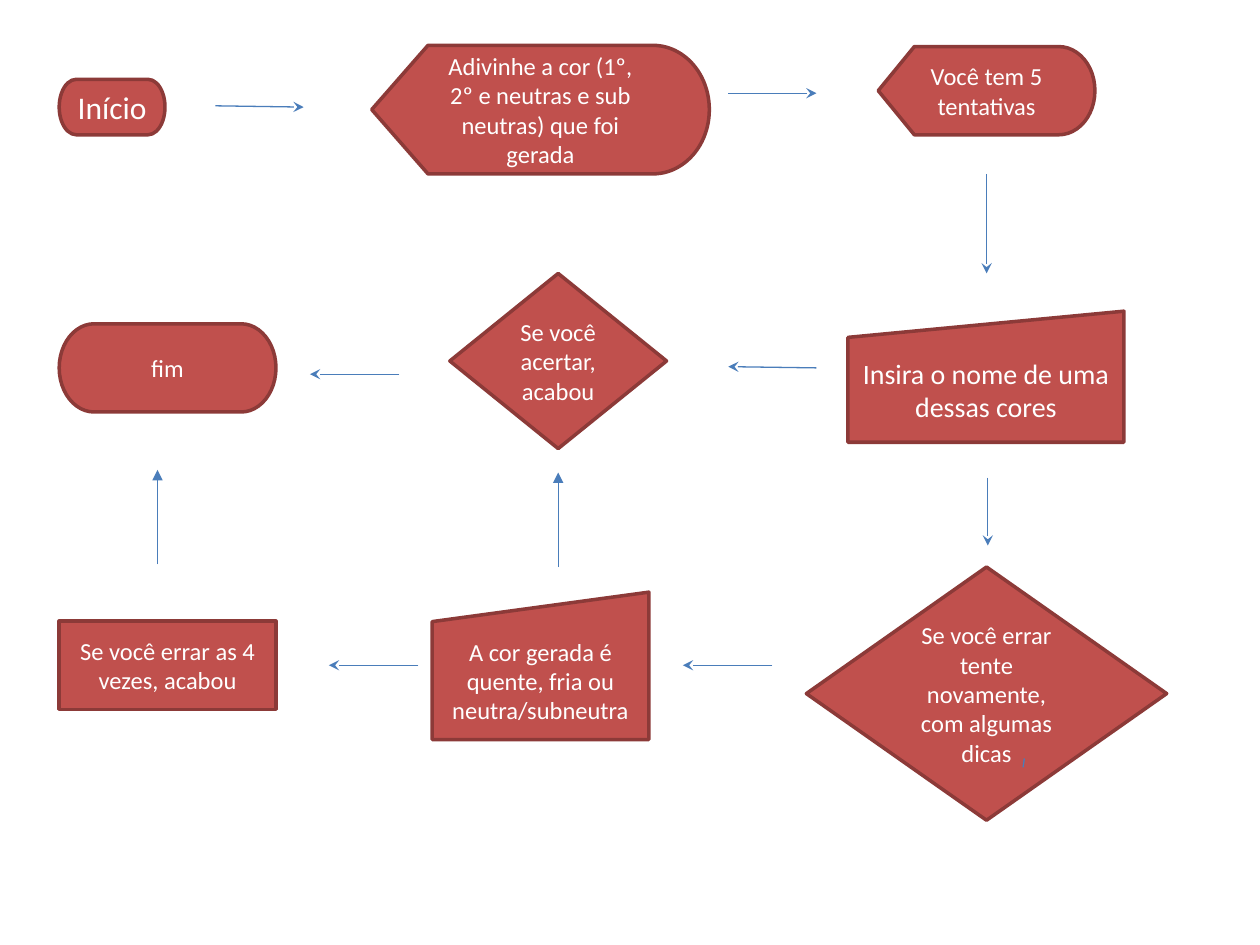
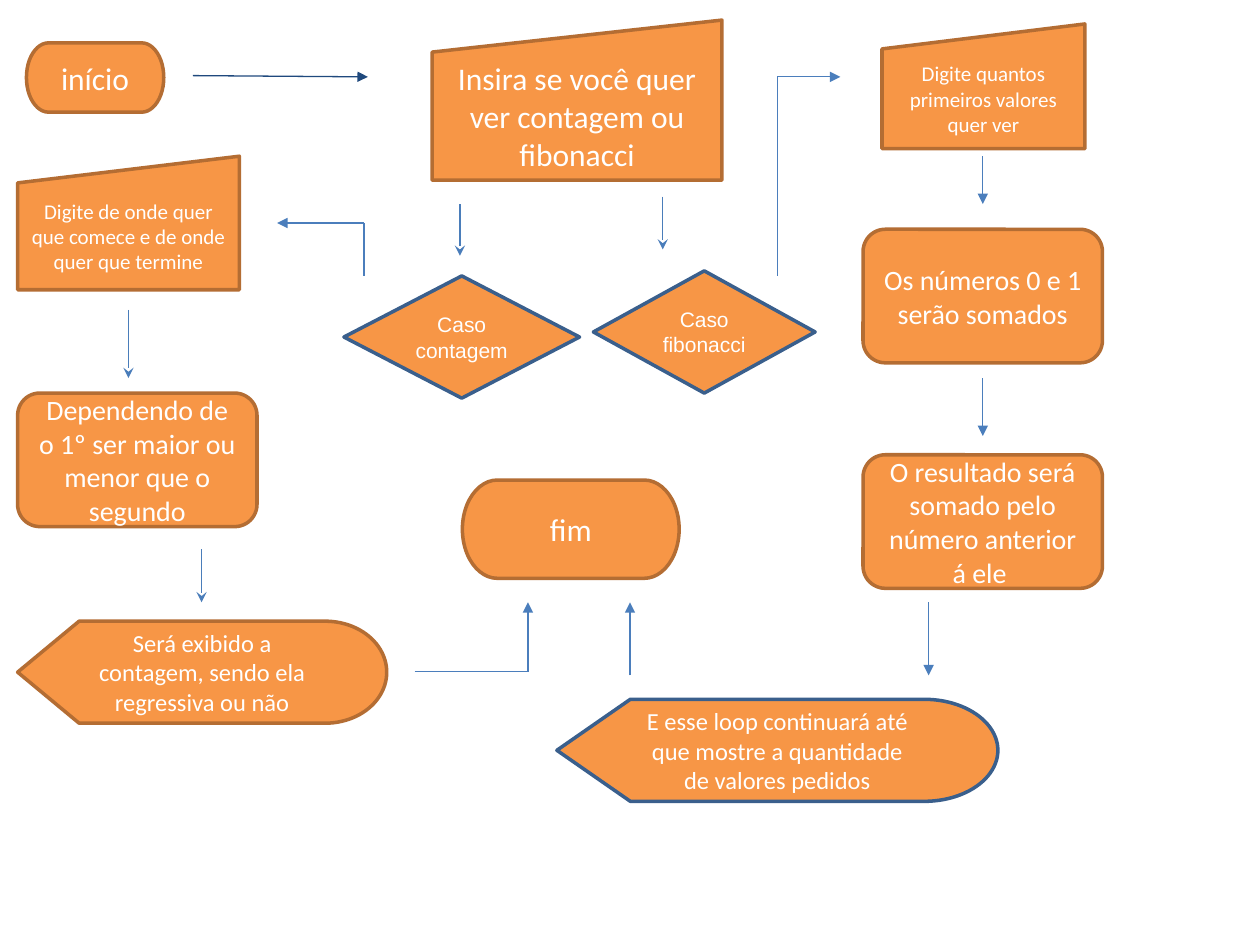
from collections import namedtuple
from dataclasses import dataclass

from lxml import etree
from pptx import Presentation
from pptx.dml.color import RGBColor
from pptx.enum.shapes import MSO_CONNECTOR, MSO_SHAPE
from pptx.enum.text import MSO_ANCHOR, PP_ALIGN
from pptx.oxml.ns import qn
from pptx.util import Inches, Pt

TERMINATOR = MSO_SHAPE.FLOWCHART_TERMINATOR
DISPLAY = MSO_SHAPE.FLOWCHART_DISPLAY
MANUAL_INPUT = MSO_SHAPE.FLOWCHART_MANUAL_INPUT
DECISION = MSO_SHAPE.FLOWCHART_DECISION
DIAMOND = MSO_SHAPE.DIAMOND
RECTANGLE = MSO_SHAPE.RECTANGLE
ROUNDED = MSO_SHAPE.ROUNDED_RECTANGLE
STRAIGHT = MSO_CONNECTOR.STRAIGHT
MIDDLE, CENTER = MSO_ANCHOR.MIDDLE, PP_ALIGN.CENTER
STEALTH, TRIANGLE = "stealth", "triangle"
BLANK_LAYOUT = 6

Palette = namedtuple("Palette", "fill edge")
Box = namedtuple("Box", "left top width height")


@dataclass(frozen=True)
class Theme:
    red: Palette = Palette("C0504D", "8C3A38")
    orange: Palette = Palette("F79646", "B46D33")
    orange_blue: Palette = Palette("F79646", "3A5F8C")
    text: str = "FFFFFF"
    arrow: str = "4A7DBA"
    elbow: str = "4B7EBC"
    dark_arrow: str = "1F497D"
    font: str = "Calibri"
    case_font: str = "Arial"
    large: int = 18
    medium: int = 16
    normal: int = 14
    small: int = 12
    edge_width: float = 2
    arrow_width: float = 0.75


THEME = Theme()


def color(code):
    return RGBColor.from_string(code)


def add_node(page, box, place, kind, text, palette, size=THEME.normal, font=THEME.font):
    """Flowchart symbol; place is left, top, width, height within the box."""
    left, top, width, height = place
    node = page.shapes.add_shape(kind, Inches(box.left + left), Inches(box.top + top),
                                 Inches(width), Inches(height))
    node.shadow.inherit = False
    node.fill.solid()
    node.fill.fore_color.rgb = color(palette.fill)
    node.line.color.rgb = color(palette.edge)
    node.line.width = Pt(THEME.edge_width)
    frame = node.text_frame
    frame.word_wrap = True
    frame.vertical_anchor = MIDDLE
    para = frame.paragraphs[0]
    para.alignment = CENTER
    span = para.add_run()
    span.text = text
    span.font.name = font
    span.font.size = Pt(size)
    span.font.color.rgb = color(THEME.text)


def add_path(page, box, points, head=STEALTH, line_color=THEME.arrow):
    """Straight segments through points in the box, with a head at the end."""
    for start, end in zip(points, points[1:]):
        segment = page.shapes.add_connector(
            STRAIGHT,
            Inches(box.left + start[0]), Inches(box.top + start[1]),
            Inches(box.left + end[0]), Inches(box.top + end[1]))
        segment.line.color.rgb = color(line_color)
        segment.line.width = Pt(THEME.arrow_width)
        properties = segment._element.spPr
        etree.SubElement(properties, qn("a:effectLst"))
    if head:
        etree.SubElement(properties.find(qn("a:ln")), qn("a:tailEnd"), type=head)


# Colour guessing game: three rows

def add_opening_row(page, box):
    red = THEME.red
    add_node(page, box, (0, 0.27, 0.84, 0.44), TERMINATOR, "Início ", red, THEME.large)
    add_node(page, box, (2.48, 0, 2.68, box.height), DISPLAY,
             "Adivinhe a cor (1º, 2º e neutras e sub neutras) que foi gerada", red)
    add_node(page, box, (box.width - 1.72, 0.01, 1.72, 0.7), DISPLAY,
             "Você tem 5 tentativas", red)
    add_path(page, box, [(1.24, 0.48), (1.94, 0.49)])
    add_path(page, box, [(5.31, 0.38), (6.01, 0.38)])
    add_path(page, box, [(7.36, box.height), (7.36, 1.81)])


def add_guess_row(page, box):
    red = THEME.red
    add_node(page, box, (box.width - 2.19, 0.3, 2.19, 1.04), MANUAL_INPUT,
             "Insira o nome de uma dessas cores", red, THEME.medium)
    add_node(page, box, (3.1, 0, 1.72, box.height), DECISION,
             "Se você acertar, acabou", red)
    add_node(page, box, (0, 0.4, 1.72, 0.7), TERMINATOR, "fim", red)
    add_path(page, box, [(6.01, 0.75), (5.31, 0.74)])
    add_path(page, box, [(2.7, 0.8), (1.99, 0.8)])
    add_path(page, box, [(7.37, 1.62), (7.37, 2.16)])


def add_retry_row(page, box):
    red = THEME.red
    add_node(page, box, (box.width - 2.86, 0, 2.86, box.height), DIAMOND,
             "Se você errar tente novamente, com algumas dicas", red)
    add_node(page, box, (2.96, 0.2, 1.72, 1.17), MANUAL_INPUT,
             "A cor gerada é quente, fria ou neutra/subneutra", red)
    add_node(page, box, (0, 0.43, 1.72, 0.7), RECTANGLE,
             "Se você errar as 4 vezes, acabou", red)
    for start in (5.66, 2.85):
        add_path(page, box, [(start, 0.78), (start - 0.71, 0.78)])
    # Arrows back up to the row above
    add_path(page, box, [(3.96, 0), (3.96, -0.75)], TRIANGLE)
    add_path(page, box, [(0.78, -0.02), (0.78, -0.77)], TRIANGLE)
    # Small tick inside the decision
    add_path(page, box, [(7.65, 1.59), (7.66, 1.52)], None)


# Counting or Fibonacci: choice, two branches and the end

def add_choice(page, box):
    orange = THEME.orange
    add_node(page, box, (0, 0.18, 1.09, 0.55), TERMINATOR, "início", orange, THEME.large)
    add_node(page, box, (3.22, 0, 2.3, 1.27), MANUAL_INPUT,
             "Insira se você quer ver contagem ou fibonacci", orange, THEME.large)
    add_path(page, box, [(1.32, 0.44), (2.71, 0.45)], TRIANGLE, THEME.dark_arrow)
    add_path(page, box, [(3.44, 1.46), (3.44, 1.87)])
    add_path(page, box, [(5.05, 1.4), (5.05, 1.82)])
    for place, text in (((2.52, 2.03, 1.87, 0.97), "Caso contagem"),
                        ((box.width - 1.76, 1.99, 1.76, 0.97), "Caso fibonacci")):
        add_node(page, box, place, DIAMOND, text, THEME.orange_blue,
                 THEME.small, THEME.case_font)


def add_counting_branch(page, box):
    orange = THEME.orange
    add_node(page, box, (0, 0, 1.76, 1.06), MANUAL_INPUT,
             "Digite de onde quer que comece e de onde quer que termine",
             orange, THEME.small)
    add_node(page, box, (0, 1.88, 1.9, 1.06), ROUNDED,
             "Dependendo de o 1º ser maior ou menor que o segundo",
             orange, THEME.medium)
    add_node(page, box, (0, box.height - 0.81, 2.93, 0.81), DISPLAY,
             "Será exibido a contagem, sendo ela regressiva ou não", orange)
    add_path(page, box, [(0.88, 1.22), (0.88, 1.76)])
    add_path(page, box, [(1.46, 3.12), (1.46, 3.54)])
    # Elbows into and out of the branch
    add_path(page, box, [(2.75, 0.95), (2.75, 0.53), (2.06, 0.53)],
             TRIANGLE, THEME.elbow)
    add_path(page, box, [(3.15, 4.09), (box.width, 4.09), (box.width, 3.54)],
             TRIANGLE, THEME.elbow)


def add_fibonacci_branch(page, box):
    orange = THEME.orange
    add_node(page, box, (0.83, 0, 1.61, 0.99), MANUAL_INPUT,
             "Digite quantos primeiros valores quer ver", orange, THEME.small)
    steps = ("Os números 0 e 1 serão somados",
             "O resultado será somado pelo número anterior á ele ")
    for index, text in enumerate(steps):
        add_node(page, box, (box.width - 1.9, 1.63 + 1.79 * index, 1.9, 1.06),
                 ROUNDED, text, orange, THEME.medium)
    paths = ([(0, 2), (0, 0.42), (0.5, 0.42)],
             [(1.63, 1.05), (1.63, 1.43)],
             [(1.63, 2.81), (1.63, 3.27)],
             [(1.2, 4.59), (1.2, box.height)])
    for points in paths:
        add_path(page, box, points, TRIANGLE, THEME.elbow)


def add_ending(page, box):
    add_node(page, box, (0, 0, 1.72, 0.78), TERMINATOR, "fim", THEME.orange, THEME.large)
    add_node(page, box, (box.width - 3.5, box.height - 0.81, 3.5, 0.81), DISPLAY,
             "E esse loop continuará até que mostre a quantidade de valores pedidos",
             THEME.orange_blue)
    add_path(page, box, [(1.33, 1.55), (1.33, 0.97)], TRIANGLE, THEME.elbow)


def build_page(deck, regions):
    page = deck.slides.add_slide(deck.slide_layouts[BLANK_LAYOUT])
    for add_region, box in regions:
        add_region(page, box)


deck = Presentation()
deck.slide_width, deck.slide_height = Inches(10), Inches(7.5)
build_page(deck, (
    (add_opening_row, Box(0.47, 0.36, 8.22, 1.02)),
    (add_guess_row, Box(0.47, 2.17, 8.45, 1.39)),
    (add_retry_row, Box(0.47, 4.5, 8.79, 2.01)),
))
build_page(deck, (
    (add_choice, Box(0.21, 0.16, 6.26, 3)),
    (add_counting_branch, Box(0.14, 1.24, 4.05, 4.5)),
    (add_fibonacci_branch, Box(6.17, 0.19, 2.58, 5.17)),
    (add_ending, Box(3.67, 3.81, 4.25, 2.55)),
))
deck.save("out.pptx")
